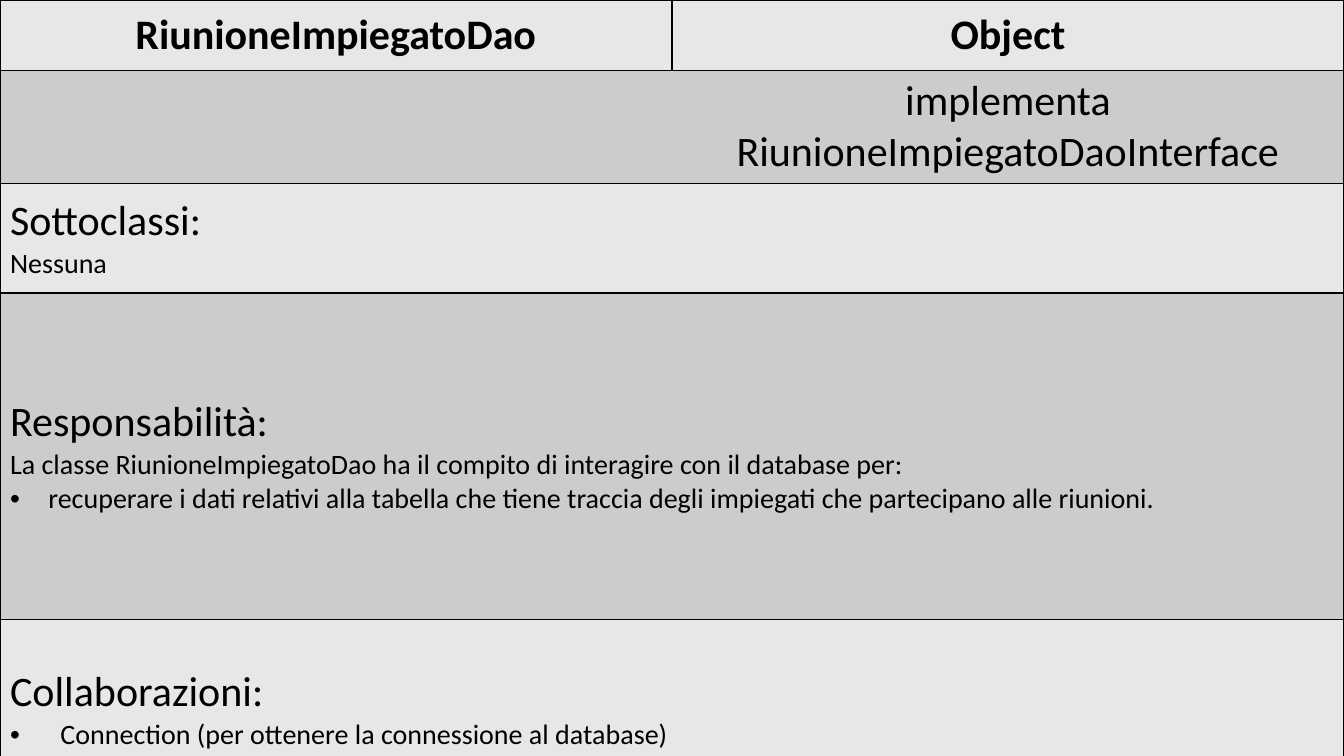
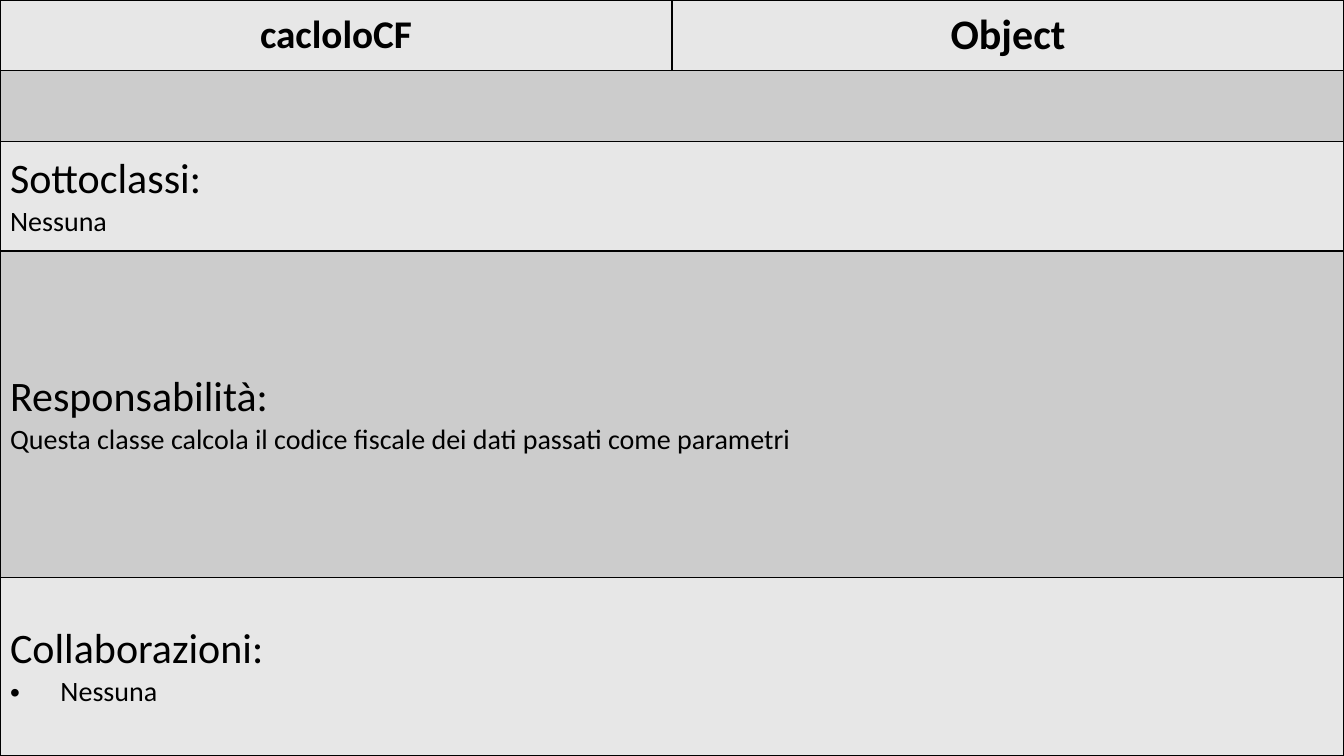
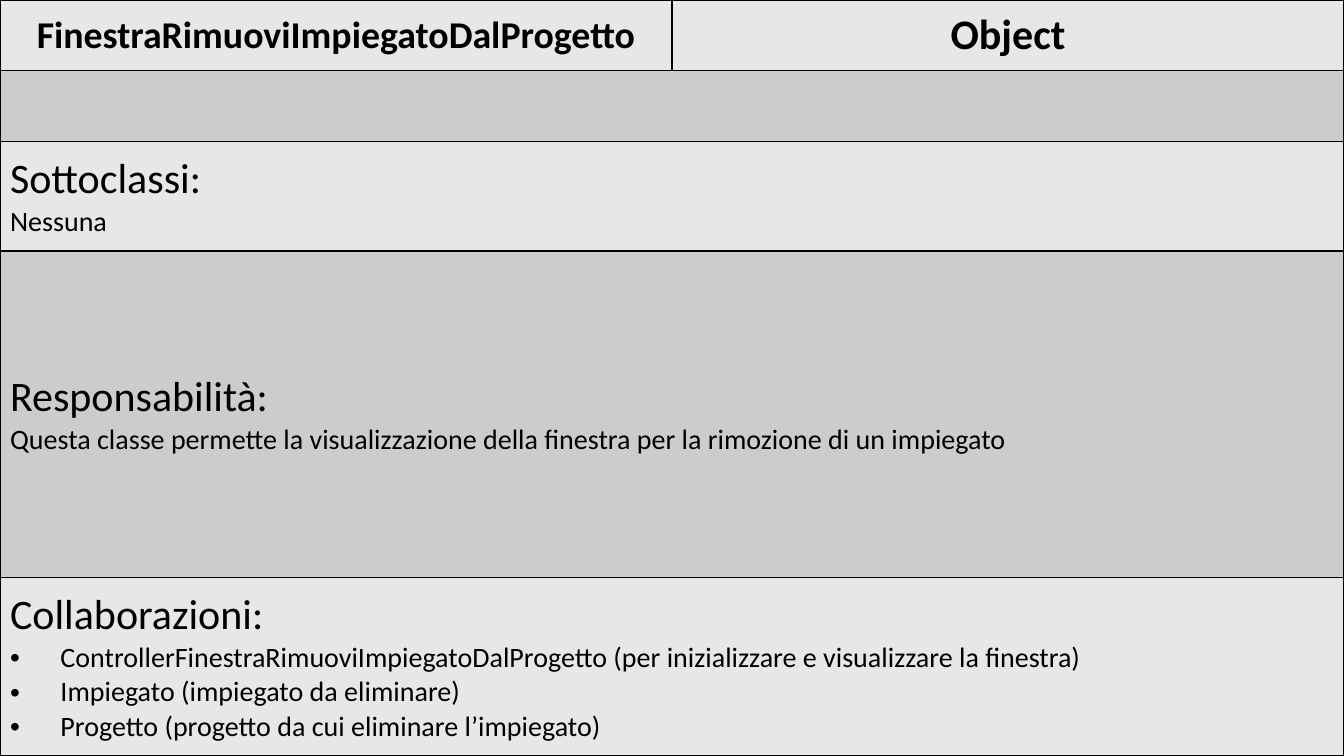
"""Build three class cards, each a full-slide table of relations, duties and collaborations."""
from lxml import etree
from pptx import Presentation
from pptx.dml.color import RGBColor
from pptx.enum.text import MSO_ANCHOR, PP_ALIGN
from pptx.oxml.ns import qn
from pptx.util import Inches, Pt

CENTER, LEFT, JUSTIFY = PP_ALIGN.CENTER, PP_ALIGN.LEFT, PP_ALIGN.JUSTIFY
MIDDLE = MSO_ANCHOR.MIDDLE

COLORS = {"light": "E7E7E7", "dark": "CCCCCC", "ink": "000000"}
FONT = "Calibri"
HEADING_SIZE, BODY_SIZE = 30, 20
SLIDE_WIDTH, SLIDE_HEIGHT = Inches(13.33), Inches(7.5)
ROW_HEIGHTS = [0.7, 0.7, 1.09, 3.24, 1.77]
DUTY_INDENT, COLLABORATION_INDENT = 0.38, 0.5
ALL_SIDES = "LRTB"

CARDS = [
    {
        "name": "RiunioneImpiegatoDao",
        "name_size": 30,
        "interface": "implementa RiunioneImpiegatoDaoInterface",
        "summary": "La classe RiunioneImpiegatoDao ha il compito di interagire con il database per:",
        "duties": ["recuperare i dati relativi alla tabella che tiene traccia degli impiegati "
                   "che partecipano alle riunioni."],
        "collaborations": ["Connection (per ottenere la connessione al database)"],
    },
    {
        "name": "cacloloCF",
        "name_size": 28,
        "interface": "",
        "summary": "Questa classe calcola il codice fiscale dei dati passati come parametri",
        "duties": [],
        "collaborations": ["Nessuna"],
    },
    {
        "name": "FinestraRimuoviImpiegatoDalProgetto",
        "name_size": 27,
        "interface": "",
        "summary": "Questa classe permette la visualizzazione della finestra per la rimozione di un impiegato",
        "duties": [],
        "collaborations": [
            "ControllerFinestraRimuoviImpiegatoDalProgetto (per inizializzare e visualizzare la finestra)",
            "Impiegato (impiegato da eliminare)",
            "Progetto (progetto da cui eliminare l’impiegato)",
        ],
    },
]


def style_cell(cell, color, sides=ALL_SIDES):
    """Give a cell its fill, its anchor and a border on the named sides."""
    properties = cell._tc.get_or_add_tcPr()
    for side in ALL_SIDES:
        line = etree.SubElement(properties, qn(f"a:ln{side}"), w=str(Pt(1)))
        if side in sides:
            fill = etree.SubElement(line, qn("a:solidFill"))
            etree.SubElement(fill, qn("a:srgbClr"), val=COLORS["ink"])
        else:
            etree.SubElement(line, qn("a:noFill"))
    cell.fill.solid()
    cell.fill.fore_color.rgb = RGBColor.from_string(COLORS[color])
    cell.vertical_anchor = MIDDLE


def add_bullet(paragraph, indent):
    """Put a hanging bullet on a paragraph."""
    properties = paragraph._p.get_or_add_pPr()
    properties.set("marL", str(Inches(indent)))
    properties.set("indent", str(-Inches(indent)))
    etree.SubElement(properties, qn("a:buFont"), typeface="Arial")
    etree.SubElement(properties, qn("a:buChar"), char="•")


def write_paragraph(paragraph, text, size, alignment, bold=False):
    """Write one formatted paragraph."""
    paragraph.text = text
    paragraph.alignment = alignment
    for run in paragraph.runs:
        run.font.name = FONT
        run.font.size = Pt(size)
        run.font.bold = bold
        run.font.color.rgb = RGBColor.from_string(COLORS["ink"])


def write_section(cell, heading, lines, bullets, alignment, indent):
    """Write a heading followed by plain lines and bulleted lines."""
    frame = cell.text_frame
    write_paragraph(frame.paragraphs[0], heading, HEADING_SIZE, alignment)
    for text in lines:
        write_paragraph(frame.add_paragraph(), text, BODY_SIZE, alignment)
    for text in bullets:
        paragraph = frame.add_paragraph()
        add_bullet(paragraph, indent)
        write_paragraph(paragraph, text, BODY_SIZE, alignment)


def add_card(presentation, card):
    """Add one slide holding the table of a class card."""
    slide = presentation.slides.add_slide(presentation.slide_layouts[6])
    table = slide.shapes.add_table(len(ROW_HEIGHTS), 2, 0, 0, SLIDE_WIDTH, SLIDE_HEIGHT).table
    table.first_row = table.horz_banding = False
    for column in table.columns:
        column.width = SLIDE_WIDTH // 2
    for row, height in zip(table.rows, ROW_HEIGHTS):
        row.height = Inches(height)

    for row_index in range(len(ROW_HEIGHTS)):
        for column_index, open_sides in enumerate(("LTB", "RTB")):
            sides = open_sides if row_index == 1 else ALL_SIDES
            style_cell(table.cell(row_index, column_index), ("light", "dark")[row_index % 2], sides)

    headers = [(card["name"], card["name_size"]), ("Object", HEADING_SIZE)]
    for column_index, (text, size) in enumerate(headers):
        write_paragraph(table.cell(0, column_index).text_frame.paragraphs[0], text, size, CENTER, True)
    write_paragraph(table.cell(1, 1).text_frame.paragraphs[0], card["interface"], HEADING_SIZE, CENTER)

    sections = [
        ("Sottoclassi:", ["Nessuna"], [], LEFT, 0),
        ("Responsabilità:", [card["summary"]], card["duties"], JUSTIFY, DUTY_INDENT),
        ("Collaborazioni:", [], card["collaborations"], LEFT, COLLABORATION_INDENT),
    ]
    for row_index, section in enumerate(sections, start=2):
        cell = table.cell(row_index, 0)
        cell.merge(table.cell(row_index, 1))
        write_section(cell, *section)


def main():
    """Build and save the presentation."""
    presentation = Presentation()
    presentation.slide_width, presentation.slide_height = SLIDE_WIDTH, SLIDE_HEIGHT
    for card in CARDS:
        add_card(presentation, card)
    presentation.save("out.pptx")


if __name__ == "__main__":
    main()
